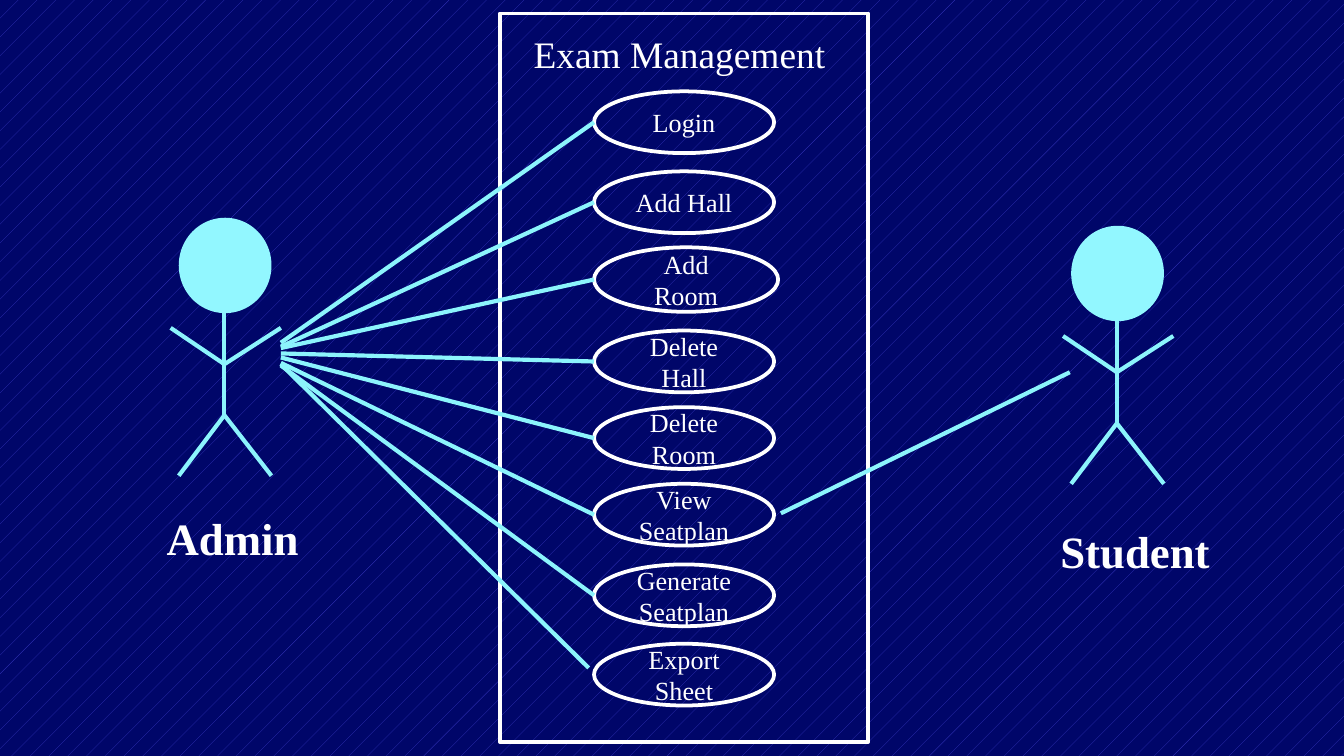
from dataclasses import dataclass
from lxml import etree
from pptx import Presentation
from pptx.dml.color import RGBColor
from pptx.enum.dml import MSO_PATTERN
from pptx.enum.shapes import MSO_CONNECTOR, MSO_SHAPE
from pptx.enum.text import MSO_ANCHOR, MSO_AUTO_SIZE, PP_ALIGN
from pptx.oxml.ns import qn
from pptx.util import Inches, Pt

OVAL, RECT = MSO_SHAPE.OVAL, MSO_SHAPE.RECTANGLE
LINE = MSO_CONNECTOR.STRAIGHT
DOTS = MSO_PATTERN.PERCENT_5
LEFT, CENTER = PP_ALIGN.LEFT, PP_ALIGN.CENTER
TOP, MIDDLE = MSO_ANCHOR.TOP, MSO_ANCHOR.MIDDLE
FIXED = MSO_AUTO_SIZE.NONE

WIDE = Inches(10)
HIGH = WIDE * 9 // 16
CELL = WIDE // 100


@dataclass(frozen=True)
class Theme:
    font: str = "Times New Roman"
    back: str = "000669"
    hatch: str = "3333B8"
    white: str = "FFFFFF"
    head: str = "92F7FF"
    limb: str = "8CF4FC"
    title: int = 20
    label: int = 24
    case: int = 14
    edge: float = 2
    wire: float = 2.25


@dataclass(frozen=True)
class Box:
    col: float
    row: float
    cols: float
    rows: float

    def place(self) -> list[int]:
        return [grid(n) for n in (self.col, self.row, self.cols, self.rows)]


@dataclass(frozen=True)
class Case:
    name: str
    row: float
    start: float
    cols: float = 13.4
    rows: float = 4.6
    gap: float = 0
    drop: float = 0


@dataclass(frozen=True)
class Actor:
    name: str
    col: float
    row: float
    label: Box


THEME = Theme()
FRAME = Box(37.2, 1, 27.4, 54.2)
TITLE = Box(38.7, 1.8, 24.4, 4.4)
CASE_COL = 44.2
HAND_COL = 20.9
CASES = [
    Case("Login", 6.8, 25.5),
    Case("Add Hall", 12.75, 25.8),
    Case("Add Room", 18.4, 25.9, cols=13.7, rows=4.8),
    Case("Delete Hall", 24.6, 26.3),
    Case("Delete Room", 30.3, 26.6),
    Case("View Seatplan", 36, 27),
    Case("Generate Seatplan", 42, 27.2),
    Case("Export Sheet", 47.9, 27.1, gap=0.4, drop=-0.5),
]
ACTORS = [
    Actor("Admin", 16.7, 16.2, Box(10.9, 37.5, 12.8, 5)),
    Actor("Student", 83.1, 16.8, Box(77.2, 38.5, 14.5, 5)),
]
LIMBS = [
    (0, 7.1, 0, 14.7),
    (0, 14.7, -3.4, 19.2),
    (0, 14.7, 3.5, 19.2),
    (0, 10.9, 4.2, 8.2),
    (0, 10.9, -4, 8.2),
]


def grid(n: float) -> int:
    return round(n * CELL)


def rgb(code: str) -> RGBColor:
    return RGBColor.from_string(code)


def write(shape, text: str, *, size: int, bold: bool = False,
          align=CENTER, anchor=TOP) -> None:
    frame = shape.text_frame
    frame.word_wrap = True
    frame.auto_size = FIXED
    frame.vertical_anchor = anchor
    para = frame.paragraphs[0]
    para.alignment = align
    run = para.add_run()
    run.text = text
    run.font.name = THEME.font
    run.font.size = Pt(size)
    run.font.bold = bold
    run.font.color.rgb = rgb(THEME.white)


def draw(slide, kind, box: Box, *, fill: str = "", edge: str = ""):
    shape = slide.shapes.add_shape(kind, *box.place())
    shape.shadow.inherit = False
    if fill:
        shape.fill.solid()
        shape.fill.fore_color.rgb = rgb(fill)
    else:
        shape.fill.background()
    if edge:
        shape.line.color.rgb = rgb(edge)
        shape.line.width = Pt(THEME.edge)
    else:
        shape.line.fill.background()
    return shape


def link(slide, x1: float, y1: float, x2: float, y2: float) -> None:
    ends = [grid(n) for n in (x1, y1, x2, y2)]
    wire = slide.shapes.add_connector(LINE, *ends)
    wire.line.color.rgb = rgb(THEME.limb)
    wire.line.width = Pt(THEME.wire)
    etree.SubElement(wire._element.spPr, qn("a:effectLst"))


def add_actor(slide, actor: Actor) -> None:
    draw(slide, OVAL, Box(actor.col - 3.4, actor.row, 6.9, 7.1), fill=THEME.head)
    for x1, y1, x2, y2 in LIMBS:
        link(slide, actor.col + x1, actor.row + y1,
             actor.col + x2, actor.row + y2)
    label = slide.shapes.add_textbox(*actor.label.place())
    write(label, actor.name, size=THEME.label, bold=True)


def add_case(slide, case: Case) -> None:
    box = Box(CASE_COL, case.row, case.cols, case.rows)
    oval = draw(slide, OVAL, box, edge=THEME.white)
    write(oval, case.name, size=THEME.case, anchor=MIDDLE)
    link(slide, CASE_COL - case.gap, case.row + case.rows / 2 + case.drop,
         HAND_COL, case.start)


def main() -> None:
    deck = Presentation()
    deck.slide_width, deck.slide_height = WIDE, HIGH
    slide = deck.slides.add_slide(deck.slide_layouts[5])
    fill = slide.background.fill
    fill.patterned()
    fill.pattern = DOTS
    fill.fore_color.rgb = rgb(THEME.hatch)
    fill.back_color.rgb = rgb(THEME.back)
    title = slide.shapes.title
    title.left, title.top, title.width, title.height = TITLE.place()
    write(title, "Exam Management", size=THEME.title, align=LEFT)
    draw(slide, RECT, FRAME, edge=THEME.white)
    for actor in ACTORS:
        add_actor(slide, actor)
    for case in CASES:
        add_case(slide, case)
    link(slide, 58.1, 38.2, 79.6, 27.7)
    deck.save("out.pptx")


if __name__ == "__main__":
    main()
